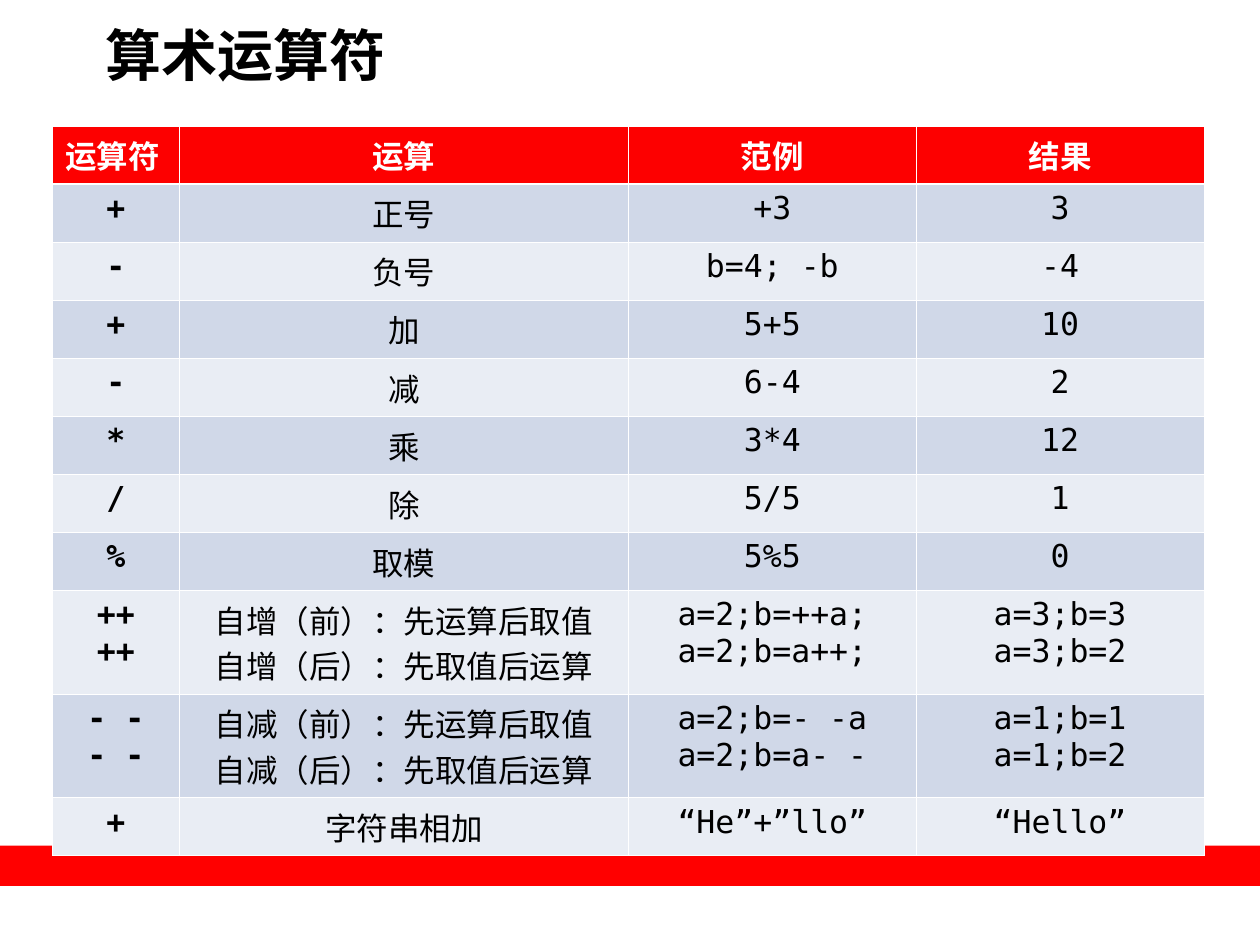
from dataclasses import dataclass
from typing import NamedTuple

from lxml import etree
from pptx import Presentation
from pptx.dml.color import RGBColor
from pptx.enum.shapes import MSO_SHAPE
from pptx.enum.text import MSO_ANCHOR, PP_ALIGN
from pptx.oxml.ns import qn
from pptx.util import Cm, Pt

RECT = MSO_SHAPE.RECTANGLE
TOP = MSO_ANCHOR.TOP
LEFT, CENTER = PP_ALIGN.LEFT, PP_ALIGN.CENTER


@dataclass(frozen=True)
class Theme:
    font: str = "DejaVu Sans Mono"
    title_size: float = 32
    cell_size: float = 18
    bar: str = "FF0000"
    header: str = "FD0000"
    bands: tuple[str, str] = ("D0D8E8", "E9EDF4")
    ink: str = "000000"
    white: str = "FFFFFF"
    thin: float = 0.45
    thick: float = 1.47


class Operator(NamedTuple):
    symbol: str
    operation: str
    example: str
    result: str


THEME = Theme()
HEADER = Operator("运算符", "运算", "范例", "结果")
OPERATORS = [
    Operator("+", "正号", "+3", "3"),
    Operator("-", "负号", "b=4; -b", "-4"),
    Operator("+", "加", "5+5", "10"),
    Operator("-", "减", "6-4", "2"),
    Operator("*", "乘", "3*4", "12"),
    Operator("/", "除", "5/5", "1"),
    Operator("%", "取模", "5%5", "0"),
    Operator("++\n++", "自增（前）：先运算后取值\n自增（后）：先取值后运算",
             "a=2;b=++a;\na=2;b=a++;", "a=3;b=3\na=3;b=2"),
    Operator("- -\n- -", "自减（前）：先运算后取值\n自减（后）：先取值后运算",
             "a=2;b=- -a\na=2;b=a- -", "a=1;b=1\na=1;b=2"),
    Operator("+", "字符串相加", "“He”+”llo”", "“Hello”"),
]
COLUMN_WIDTHS = [Cm(2.55), Cm(9.06), Cm(5.8), Cm(5.8)]
ROW_HEIGHT, TALL_ROW_HEIGHT = Cm(1.17), Cm(2.09)


def set_attrs(obj, values: dict) -> None:
    for name, value in values.items():
        setattr(obj, name, value)


def style_text(tf, size: float, color: str, bold: bool, align) -> None:
    for p in tf.paragraphs:
        p.alignment = align
        for r in p.runs:
            set_attrs(r.font, {"name": THEME.font, "size": Pt(size), "bold": bold})
            r.font.color.rgb = RGBColor.from_string(color)


def add_bar(s) -> None:
    sp = s.shapes.add_shape(RECT, 0, Cm(17.05), Cm(25.4), Cm(0.81))
    sp.shadow.inherit = False
    sp.fill.solid()
    sp.fill.fore_color.rgb = RGBColor.from_string(THEME.bar)
    sp.line.fill.background()


def add_title(s, text: str) -> None:
    tf = s.shapes.add_textbox(Cm(2.12), Cm(0.41), Cm(22.86), Cm(1.9)).text_frame
    set_attrs(tf, {"word_wrap": True, "vertical_anchor": TOP, "margin_left": 0,
                   "margin_top": 0, "margin_right": 0, "margin_bottom": 0})
    tf.text = text
    style_text(tf, THEME.title_size, THEME.ink, True, LEFT)


def set_borders(cell, top: float, bottom: float) -> None:
    widths = {"a:lnL": THEME.thin, "a:lnR": THEME.thin, "a:lnT": top, "a:lnB": bottom}
    tc_pr = cell._tc.get_or_add_tcPr()
    for tag, width in widths.items():
        ln = etree.SubElement(tc_pr, qn(tag), w=str(Pt(width)))
        fill = etree.SubElement(ln, qn("a:solidFill"))
        etree.SubElement(fill, qn("a:srgbClr"), val=THEME.white)


def fill_cell(cell, text: str, row: int, col: int) -> None:
    is_header = row == 0
    set_borders(cell, THEME.thick if row == 1 else THEME.thin,
                THEME.thick if is_header else THEME.thin)
    cell.fill.solid()
    fill = THEME.header if is_header else THEME.bands[(row - 1) % 2]
    cell.fill.fore_color.rgb = RGBColor.from_string(fill)
    cell.text = text
    style_text(cell.text_frame, THEME.cell_size,
               THEME.white if is_header else THEME.ink,
               is_header or col == 0,
               LEFT if is_header and col == 0 else CENTER)


def add_operator_table(s, rows: list[Operator]) -> None:
    heights = [TALL_ROW_HEIGHT if "\n" in row.symbol else ROW_HEIGHT for row in rows]
    table = s.shapes.add_table(len(rows), len(COLUMN_WIDTHS), Cm(1.06), Cm(2.54),
                               sum(COLUMN_WIDTHS), sum(heights)).table
    for column, width in zip(table.columns, COLUMN_WIDTHS):
        column.width = width
    for i, (row, height) in enumerate(zip(rows, heights)):
        table.rows[i].height = height
        for j, text in enumerate(row):
            fill_cell(table.cell(i, j), text, i, j)


def main() -> None:
    prs = Presentation()
    set_attrs(prs, {"slide_width": Cm(25.4), "slide_height": Cm(19.05)})
    s = prs.slides.add_slide(prs.slide_layouts[6])
    add_bar(s)
    add_title(s, "算术运算符")
    add_operator_table(s, [HEADER, *OPERATORS])
    prs.save("out.pptx")


if __name__ == "__main__":
    main()
